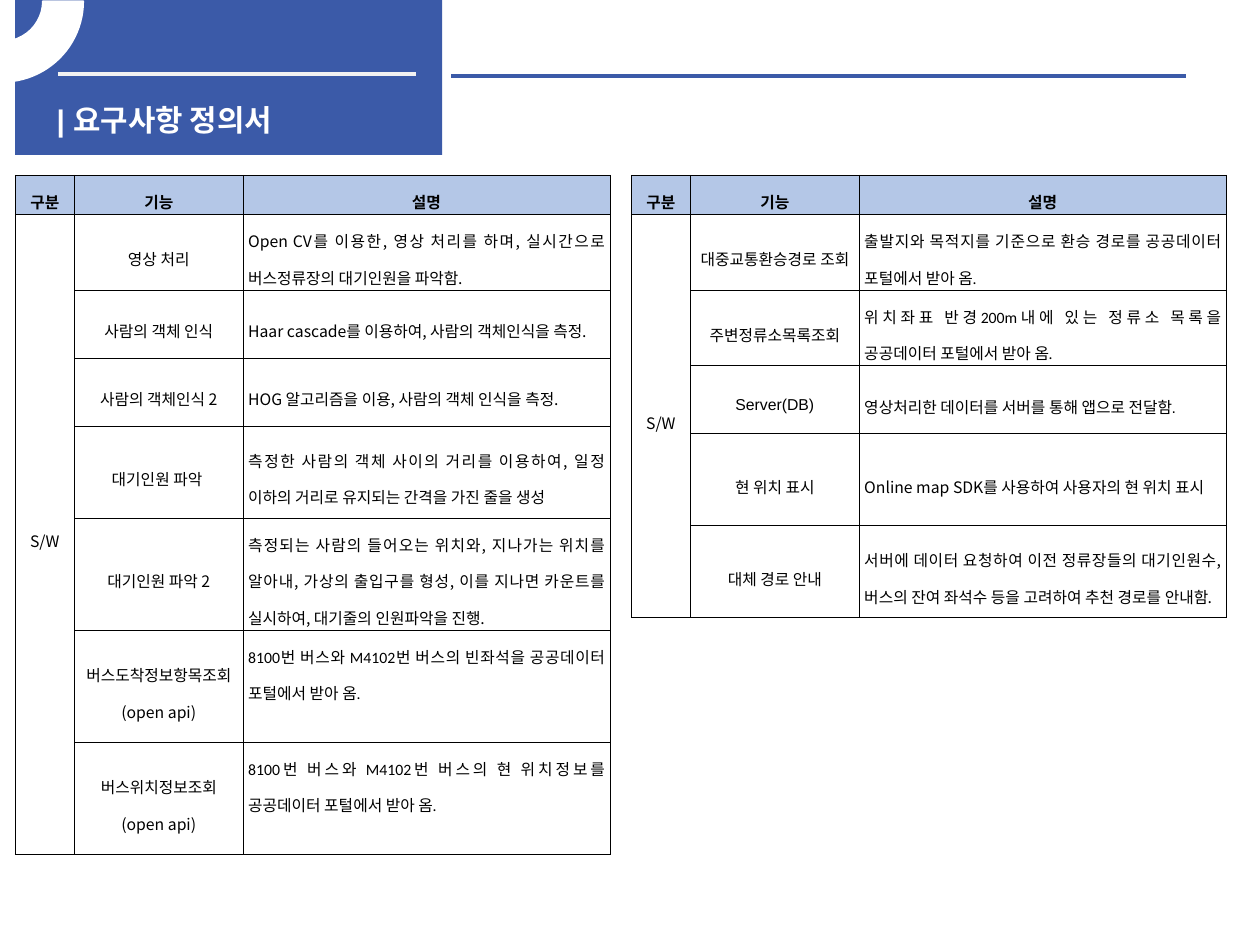
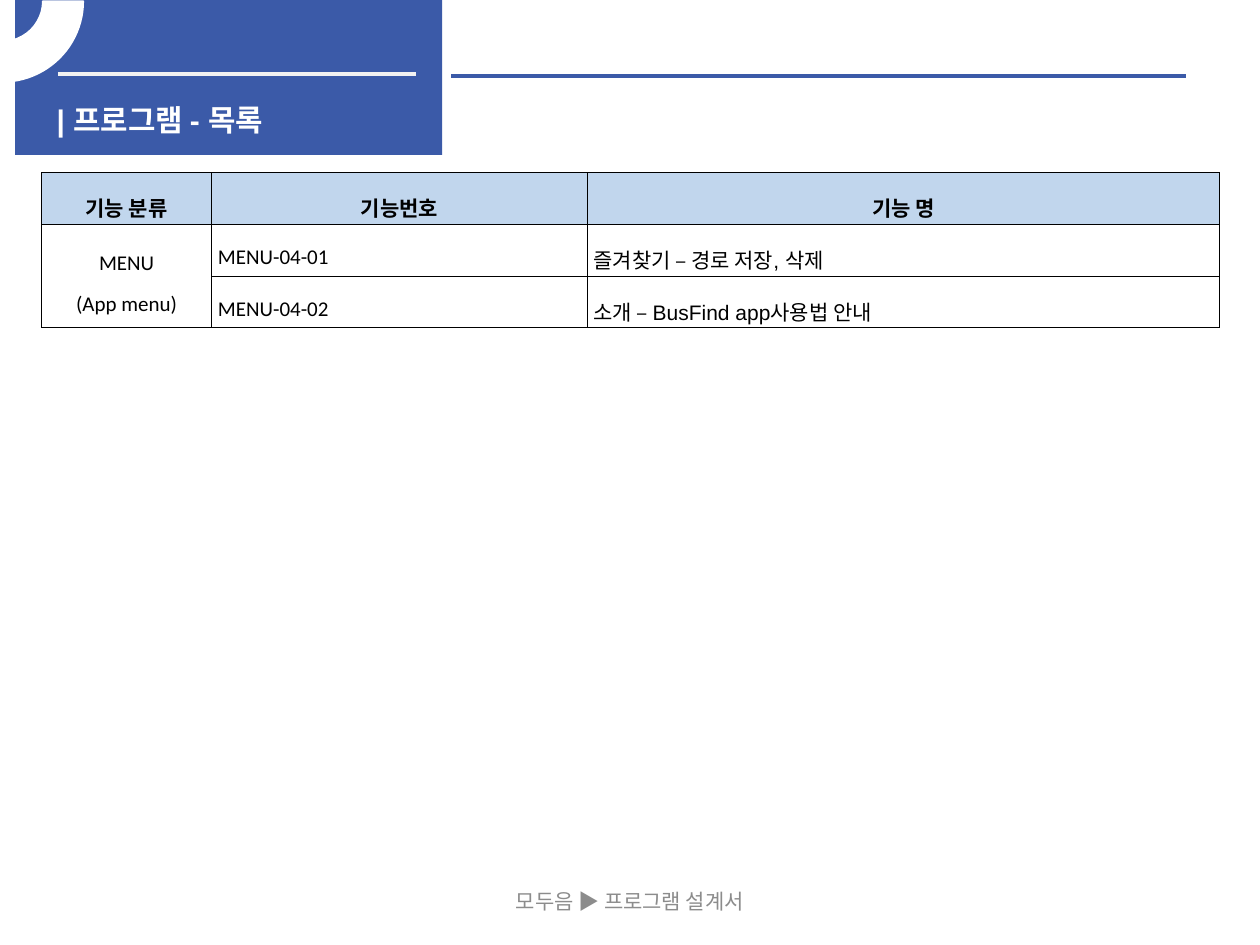
from dataclasses import dataclass

from lxml import etree
from pptx import Presentation
from pptx import util as u
from pptx.dml.color import RGBColor
from pptx.enum import shapes, text
from pptx.oxml import ns

BLUE = RGBColor(0x3B, 0x5A, 0xA8)
WHITE = RGBColor(0xFF, 0xFF, 0xFF)
PALE = RGBColor(0xF2, 0xF2, 0xF2)
BLACK = RGBColor(0, 0, 0)
GRAY = RGBColor(0x8C, 0x8C, 0x8C)
HEADER_BLUE = RGBColor(0xB4, 0xC7, 0xE7)
HEADER_SKY = RGBColor(0xC1, 0xD6, 0xED)

NOTO, CALIBRI, ARIAL = "Noto Sans CJK KR", "Calibri", "Arial"
LEFT, CENTER, JUSTIFY = (text.PP_ALIGN.LEFT, text.PP_ALIGN.CENTER,
                         text.PP_ALIGN.JUSTIFY)
TOP, MIDDLE = text.MSO_ANCHOR.TOP, text.MSO_ANCHOR.MIDDLE
GRID = u.Inches(0.1)  # the slide is 100 columns by 75 rows
TITLE_ONLY = 5


def grid(*lengths):
    return [round(length * GRID) for length in lengths]


@dataclass
class Entry:
    """Table text that departs from the table's font or anchor."""
    text: str
    font: str = NOTO
    anchor: text.MSO_ANCHOR = MIDDLE


@dataclass
class TableStyle:
    size: int
    font: str
    header_fill: RGBColor
    side_inset: float
    alignments: tuple


class Deck:
    def __init__(self):
        self.presentation = Presentation()
        self.presentation.slide_width, self.presentation.slide_height = grid(100, 75)
        self.slide = None

    # Shared elements
    def new_slide(self, title):
        layout = self.presentation.slide_layouts[TITLE_ONLY]
        self.slide = self.presentation.slides.add_slide(layout)
        self.shape(shapes.MSO_SHAPE.RECTANGLE, 1.2, 0, 33.9, 12.3, BLUE)
        self.rule(4.6, 33, 5.9, PALE)
        self.rule(35.8, 94.1, 6, BLUE)
        self.title(title)
        self.ring()

    def title(self, words):
        shape = self.slide.shapes.title
        shape.left, shape.top, shape.width, shape.height = grid(3.5, 7.6, 30.7, 3.2)
        # Bring the title in front of the band
        self.slide.shapes._spTree.append(shape._element)
        self.fill_text(shape.text_frame, words, 17, ARIAL, WHITE, LEFT, TOP, bold=True)

    def ring(self):
        ring = self.shape(shapes.MSO_SHAPE.BLOCK_ARC, -6.3, -6.3, 12.9, 12.8, WHITE)
        for index, value in enumerate((96.95, 0, 0.25)):
            ring.adjustments[index] = value
        ring._element.spPr.find(ns.qn("a:xfrm")).set("flipV", "1")
        ring.line.color.rgb = WHITE
        ring.line.width = u.Pt(1)

    # Basic elements
    def shape(self, kind, left, top, width, height, color):
        shape = self.slide.shapes.add_shape(kind, *grid(left, top, width, height))
        shape.shadow.inherit = False
        shape.fill.solid()
        shape.fill.fore_color.rgb = color
        shape.line.fill.background()
        return shape

    def rule(self, start, end, top, color):
        line = self.slide.shapes.add_connector(
            shapes.MSO_CONNECTOR.STRAIGHT, *grid(start, top, end, top))
        line.line.color.rgb = color
        line.line.width = u.Pt(2.25)
        etree.SubElement(line._element.spPr, ns.qn("a:effectLst"))

    def fill_text(self, frame, words, size, font, color, align, anchor,
                  bold=False, spacing=1.0):
        frame.text = words
        frame.word_wrap = True
        frame.vertical_anchor = anchor
        for paragraph in frame.paragraphs:
            paragraph.alignment = align
            paragraph.line_spacing = spacing
            paragraph.font.size = u.Pt(size)
            paragraph.font.name = font
            paragraph.font.bold = bold
            paragraph.font.color.rgb = color

    def footer(self, words):
        box = self.slide.shapes.add_textbox(*grid(33.1, 69.5, 33.8, 4))
        self.fill_text(box.text_frame, words, 12, CALIBRI, GRAY, CENTER, MIDDLE)

    # Tables: a header, one merged group cell, and the rows beside it
    def table(self, left, top, widths, heights, header, group, rows, style):
        frame = self.slide.shapes.add_table(
            len(heights), len(widths),
            *grid(left, top, sum(widths), sum(heights)))
        table = frame.table
        table.first_row = table.horz_banding = False
        for column, width in zip(table.columns, grid(*widths)):
            column.width = width
        for row, height in zip(table.rows, grid(*heights)):
            row.height = height

        first_column = [group] + [""] * (len(rows) - 1)
        lines = [header] + [(first, *row) for first, row in zip(first_column, rows)]
        for row_index, line in enumerate(lines):
            for column_index, entry in enumerate(line):
                self.cell(table.cell(row_index, column_index), entry, style,
                          style.alignments[column_index], row_index == 0)
        table.cell(1, 0).merge(table.cell(len(rows), 0))

    def cell(self, cell, entry, style, align, is_header):
        if isinstance(entry, str):
            entry = Entry(entry, style.font)
        self.fill_text(cell.text_frame, entry.text, style.size, entry.font, BLACK,
                       CENTER if is_header else align, MIDDLE, is_header, 1.6)
        cell.vertical_anchor = entry.anchor
        cell.margin_left = cell.margin_right = u.Inches(style.side_inset)
        cell.margin_top = cell.margin_bottom = u.Inches(0.01)
        if is_header:
            cell.fill.solid()
            cell.fill.fore_color.rgb = style.header_fill
        else:
            cell.fill.background()
        self.borders(cell)

    def borders(self, cell):
        properties = cell._tc.get_or_add_tcPr()
        for index, side in enumerate(("lnL", "lnR", "lnT", "lnB")):
            line = etree.Element(ns.qn(f"a:{side}"), w=str(u.Pt(0.28)))
            fill = etree.SubElement(line, ns.qn("a:solidFill"))
            etree.SubElement(fill, ns.qn("a:srgbClr"), val=str(BLACK))
            properties.insert(index, line)


def requirements_slide(deck):
    deck.new_slide("| 요구사항 정의서")
    style = TableStyle(9, NOTO, HEADER_BLUE, 0.04, (CENTER, CENTER, JUSTIFY))
    widths = (4.7, 13.4, 29.1)
    header = ("구분", "기능", "설명")
    recognition = [
        ("영상 처리",
         "Open CV를 이용한, 영상 처리를 하며, 실시간으로 버스정류장의 대기인원을 파악함."),
        ("사람의 객체 인식", "Haar cascade를 이용하여, 사람의 객체인식을 측정."),
        ("사람의 객체인식 2", "HOG 알고리즘을 이용, 사람의 객체 인식을 측정."),
        ("대기인원 파악 ",
         "측정한 사람의 객체 사이의 거리를 이용하여, 일정 이하의 거리로 유지되는 간격을 가진 줄을 생성"),
        ("대기인원 파악 2",
         "측정되는 사람의 들어오는 위치와, 지나가는 위치를 알아내, 가상의 출입구를 형성, "
         "이를 지나면 카운트를 실시하여, 대기줄의 인원파악을 진행."),
        ("버스도착정보항목조회\n(open api)",
         Entry("8100번 버스와 M4102번 버스의 빈좌석을 공공데이터 포털에서 받아 옴.",
               CALIBRI, TOP)),
        ("버스위치정보조회\n(open api)",
         Entry("8100번 버스와 M4102번 버스의 현 위치정보를 공공데이터 포털에서 받아 옴.",
               CALIBRI, TOP)),
    ]
    service = [
        (Entry("대중교통환승경로 조회", CALIBRI),
         Entry("출발지와 목적지를 기준으로 환승 경로를 공공데이터 포털에서 받아 옴.", CALIBRI)),
        (Entry("주변정류소목록조회", CALIBRI),
         Entry("위치좌표 반경200m내에 있는 정류소 목록을 공공데이터 포털에서 받아 옴.", CALIBRI)),
        (Entry("Server(DB)", ARIAL),
         Entry("영상처리한 데이터를 서버를 통해 앱으로 전달함.", ARIAL)),
        ("현 위치 표시", "Online map SDK를 사용하여 사용자의 현 위치 표시"),
        ("대체 경로 안내",
         "서버에 데이터 요청하여 이전 정류장들의 대기인원수, "
         "버스의 잔여 좌석수 등을 고려하여 추천 경로를 안내함."),
    ]
    deck.table(1.2, 13.9, widths, (3, 6, 5.4, 5.4, 7.3, 8.9, 8.9, 8.9),
               header, "S/W", recognition, style)
    deck.table(50.1, 13.9, widths, (3, 6, 6, 5.4, 7.3, 7.3),
               header, "S/W", service, style)


def program_list_slide(deck):
    deck.new_slide("| 프로그램 - 목록")
    deck.footer("모두음 ▶ 프로그램 설계서")
    style = TableStyle(12, CALIBRI, HEADER_SKY, 0.05, (CENTER, JUSTIFY, JUSTIFY))
    menu = [
        ("MENU-04-01", Entry("즐겨찾기 – 경로 저장, 삭제", ARIAL)),
        ("MENU-04-02", Entry("소개 – BusFind app사용법 안내", ARIAL)),
    ]
    deck.table(3.3, 13.7, (13.5, 29.8, 50.2), (4.1,) * 3,
               ("기능 분류", "기능번호", "기능 명"), "MENU\n(App menu)", menu, style)


def main():
    deck = Deck()
    requirements_slide(deck)
    program_list_slide(deck)
    deck.presentation.save("out.pptx")


if __name__ == "__main__":
    main()
